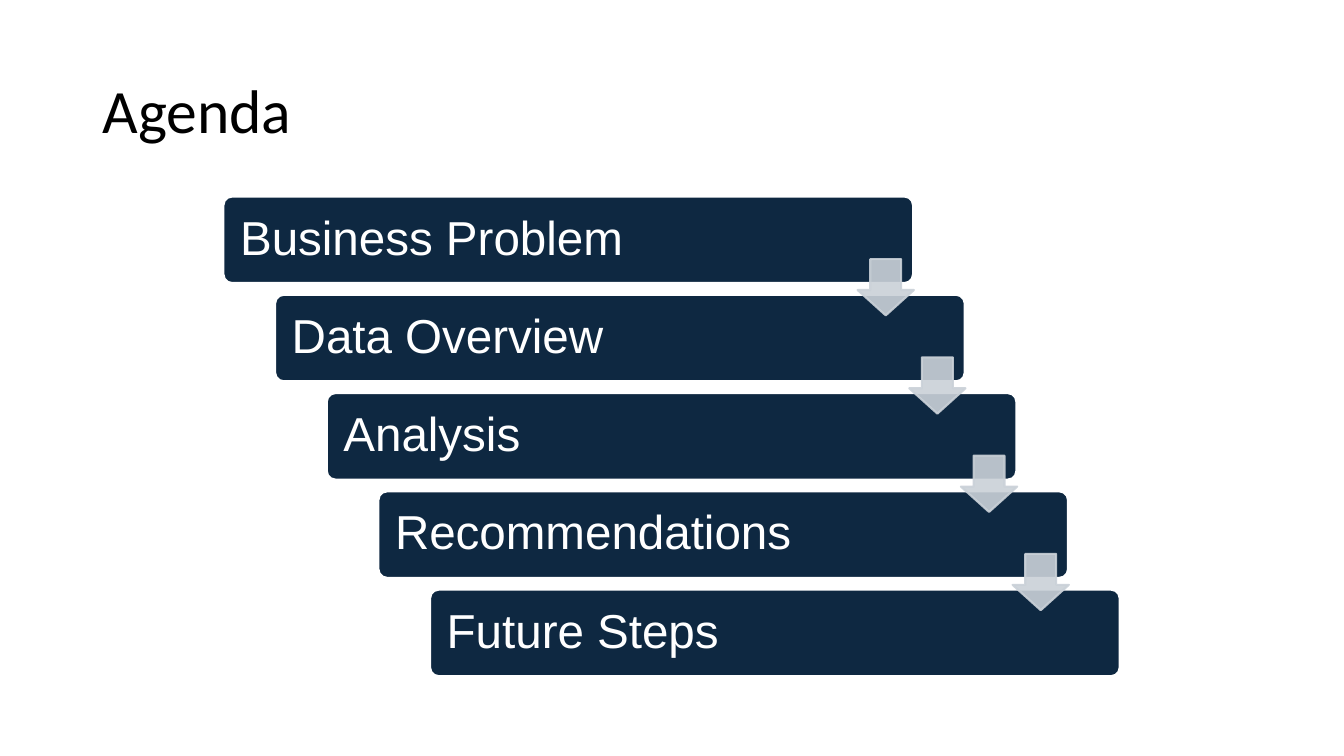
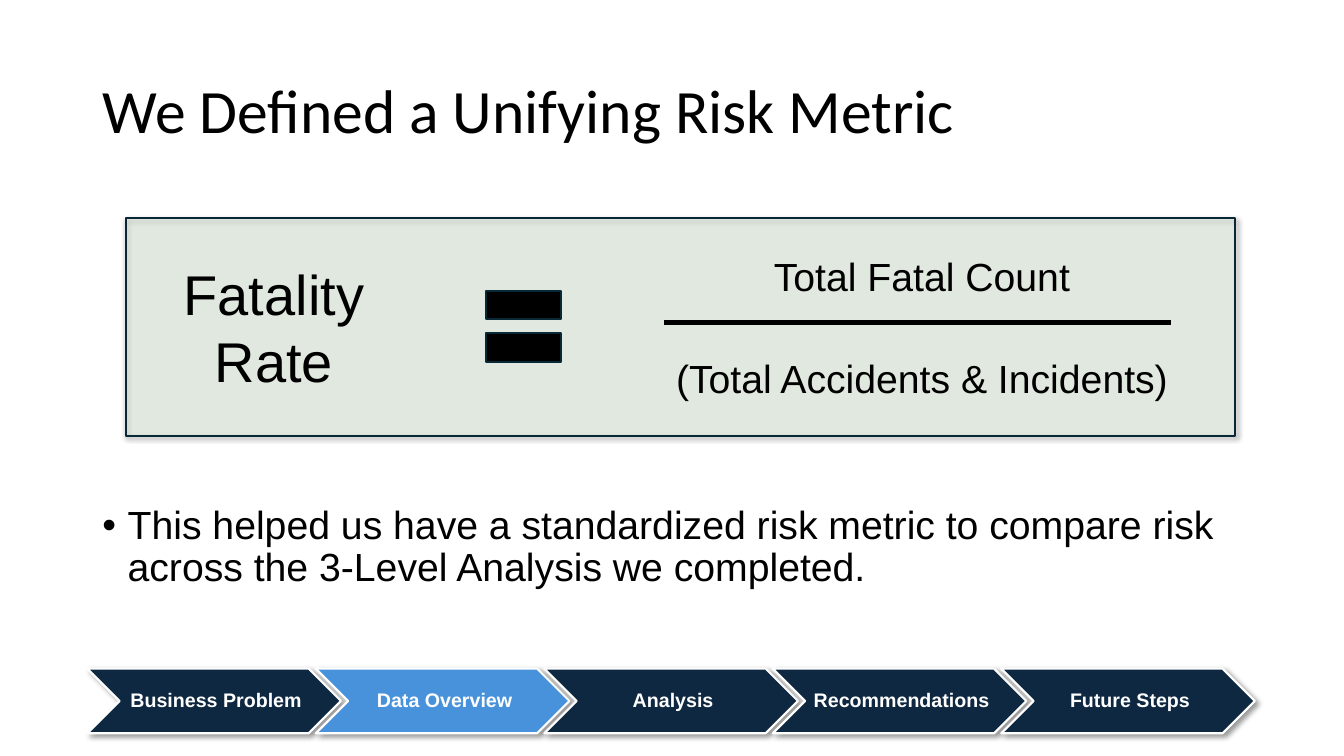
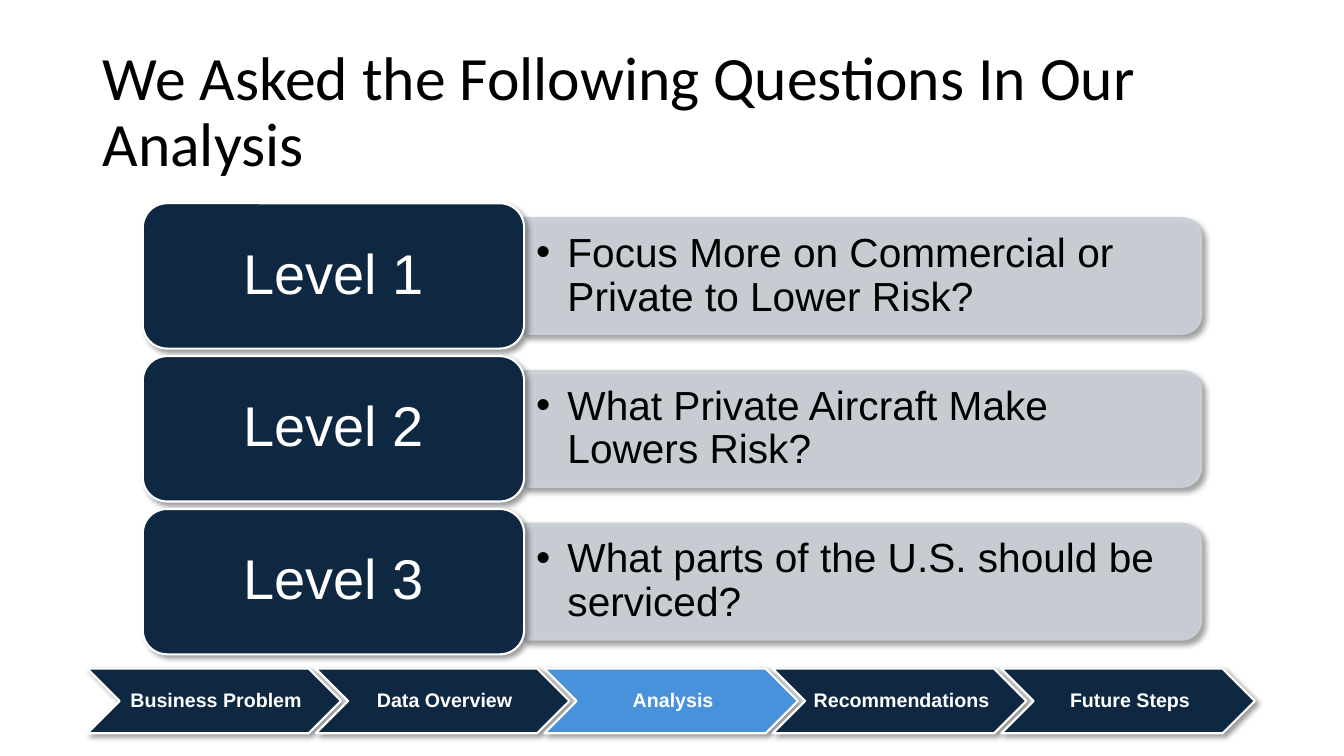
from dataclasses import dataclass

from lxml import etree
from pptx import Presentation
from pptx import util as u
from pptx.dml.color import RGBColor
from pptx.enum import shapes, text
from pptx.oxml.ns import qn


@dataclass(frozen=True)
class Theme:
    navy: str = "0E2841"
    blue: str = "4892DC"
    grey: str = "CAD1D8"
    mint: str = "D8F2CF"
    outline: str = "082836"
    black: str = "000000"
    white: str = "FFFFFF"
    heading_font: str = "Calibri"
    body_font: str = "Arial"
    title_size: int = 44
    large_size: int = 40
    agenda_size: int = 34
    question_size: int = 29
    body_size: int = 28
    step_size: int = 14
    outline_width: float = 1.5


THEME = Theme()
WIDTH, HEIGHT = u.Inches(13.333), u.Inches(7.5)
COLUMNS, ROWS = 160, 90
CELL_PT = HEIGHT.pt / ROWS
LEFT, CENTER = text.PP_ALIGN.LEFT, text.PP_ALIGN.CENTER
MIDDLE, TOP = text.MSO_ANCHOR.MIDDLE, text.MSO_ANCHOR.TOP
SHAPE = shapes.MSO_SHAPE
STEPS = ["Business Problem", "Data Overview", "Analysis", "Recommendations", "Future Steps"]


# Grid and colour helpers
def cells(x, y, w, h):
    """Turn grid columns and rows into slide lengths."""
    return [int(n * unit) for n, unit in
            zip((x, y, w, h), (WIDTH / COLUMNS, HEIGHT / ROWS) * 2)]


def rgb(colour):
    return RGBColor.from_string(colour)


def add_xml(parent, tag, **attributes):
    return etree.SubElement(parent, qn(tag), {k: str(v) for k, v in attributes.items()})


# Element helpers
def write(target, words, *, size, font=THEME.body_font, colour=THEME.black, bold=False,
          align=LEFT, anchor=MIDDLE, spacing=0.9, margins=(0.1, 0.05, 0.1, 0.05), indent=0):
    """Fill a shape with one formatted paragraph; an indent in inches adds a bullet."""
    frame = target.text_frame
    frame.word_wrap = True
    frame.auto_size = text.MSO_AUTO_SIZE.NONE
    frame.vertical_anchor = anchor
    (frame.margin_left, frame.margin_top,
     frame.margin_right, frame.margin_bottom) = map(u.Inches, margins)
    paragraph = frame.paragraphs[0]
    paragraph.text = words
    paragraph.alignment = align
    paragraph.line_spacing = spacing
    paragraph.space_before = u.Pt(0)
    if indent:
        properties = paragraph._p.get_or_add_pPr()
        properties.set("marL", str(u.Inches(indent)))
        properties.set("indent", str(-u.Inches(indent)))
        add_xml(properties, "a:buFont", typeface=THEME.body_font)
        add_xml(properties, "a:buChar", char="•")
    for run in paragraph.runs:
        run.font.name, run.font.size, run.font.bold = font, u.Pt(size), bold
        run.font.color.rgb = rgb(colour)


def add_text(slide, box, words, **style):
    write(slide.shapes.add_textbox(*cells(*box)), words, **style)


def add_block(slide, kind, box, fill, line, *, adjust=(), alpha=None, shadow=None):
    """Draw a preset shape; shadow is its distance in points."""
    block = slide.shapes.add_shape(kind, *cells(*box))
    for index, value in enumerate(adjust):
        block.adjustments[index] = value
    block.fill.solid()
    block.fill.fore_color.rgb = rgb(fill)
    block.line.color.rgb = rgb(line)
    block.line.width = u.Pt(THEME.outline_width)
    block.shadow.inherit = False
    properties = block.element.spPr
    if alpha:
        for colour in properties.iter(qn("a:srgbClr")):
            if colour.get("val") == fill:
                add_xml(colour, "a:alpha", val=alpha * 1000)
    if shadow:
        outer = add_xml(properties.find(qn("a:effectLst")), "a:outerShdw", blurRad=u.Pt(4),
                        dist=u.Pt(shadow), dir=45 * 60000, algn="tl", rotWithShape=0)
        add_xml(add_xml(outer, "a:srgbClr", val=THEME.black), "a:alpha", val=40000)
    return block


def add_rule(slide, left, right, y, width):
    x1, y1, x2, y2 = cells(left, y, right, y)
    rule = slide.shapes.add_connector(shapes.MSO_CONNECTOR.STRAIGHT, x1, y1, x2, y2)
    rule.line.color.rgb = rgb(THEME.black)
    rule.line.width = u.Pt(width)
    add_xml(rule._element.spPr, "a:effectLst")


def place(holder, box):
    holder.left, holder.top, holder.width, holder.height = cells(*box)
    return holder


def add_slide(deck, title, layout="Title Only"):
    slide = deck.slides.add_slide(deck.slide_layouts.get_by_name(layout))
    write(place(slide.shapes.title, (11, 4.8, 138, 17.4)), title,
          size=THEME.title_size, font=THEME.heading_font)
    return slide


def add_progress(slide, current):
    """Row of chevrons with the current step highlighted."""
    for index, step in enumerate(STEPS):
        chevron = add_block(slide, SHAPE.CHEVRON, (10.4 + 27.2 * index, 79.6, 30.2, 7.7),
                            THEME.blue if step == current else THEME.navy, THEME.white,
                            adjust=[0.5], shadow=3)
        write(chevron, step, size=THEME.step_size, colour=THEME.white, bold=True,
              align=CENTER, margins=(0.06, 0.02, 0.02, 0.02))


# Slides
def agenda_slide(deck):
    slide = add_slide(deck, "Agenda")
    corners = [(26.6 + 6.15 * i, 23.4 + 11.7 * i) for i in range(len(STEPS))]
    for (x, y), step in zip(corners, STEPS):
        bar = add_block(slide, SHAPE.ROUNDED_RECTANGLE, (x, y, 82.1, 10.3),
                        THEME.navy, THEME.white, adjust=[0.1])
        write(bar, step, size=THEME.agenda_size, colour=THEME.white, margins=[0.14] * 4)
    for x, y in corners[:-1]:
        add_block(slide, SHAPE.DOWN_ARROW, (x + 75.5, y + 7.45, 6.7, 6.7),
                  THEME.grey, THEME.grey, adjust=[0.55, 0.45], alpha=90)


def metric_slide(deck):
    slide = add_slide(deck, "We Defined a Unifying Risk Metric", "Title and Content")
    write(place(slide.placeholders[1], (11, 59.6, 138, 16.3)),
          "This helped us have a standardized risk metric to compare risk "
          "across the 3-Level Analysis we completed.",
          size=THEME.body_size, anchor=TOP, indent=0.25)

    # Formula panel
    add_block(slide, SHAPE.RECTANGLE, (15, 26, 132, 25.9), THEME.mint, THEME.outline,
              alpha=25, shadow=1)
    add_block(slide, SHAPE.MATH_EQUAL, (56.3, 31.7, 12.1, 14.3), THEME.black, THEME.outline,
              adjust=[0.235, 0.118])
    add_text(slide, (17.9, 28.4, 29.4, 20.9), "Fatality\vRate",
             size=THEME.large_size, align=CENTER, spacing=1)
    add_rule(slide, 79.1, 139.4, 38.4, 4)
    for y, term in [(28.7, "Total Fatal Count"), (40.8, "(Total Accidents & Incidents)")]:
        add_text(slide, (77.4, y, 64.7, 8.3), term,
                 size=THEME.body_size, align=CENTER, spacing=1)
    add_progress(slide, "Data Overview")


def questions_slide(deck):
    slide = add_slide(deck, "We Asked the Following Questions In Our Analysis")
    questions = ["Focus More on Commercial or Private to Lower Risk?",
                 "What Private Aircraft Make Lowers Risk?",
                 "What parts of the U.S. should be serviced?"]
    card_x, card_w, card_h = 17, 45.4, 17.3
    bar_x, bar_w, bar_h = card_x + card_w, 80.6, 13.8
    for index, question in enumerate(questions):
        top = 24.2 + 18.2 * index
        middle = top + card_h / 2
        # The bar is drawn upright and turned so its round corners face right
        bar = add_block(slide, SHAPE.ROUND_2_SAME_RECTANGLE,
                        (bar_x + (bar_w - bar_h) / 2, middle - bar_w / 2, bar_h, bar_w),
                        THEME.grey, THEME.grey, adjust=[0.167, 0], alpha=90, shadow=3)
        bar.rotation = 90
        add_text(slide, (bar_x, middle - 6.2, 79.9, 12.4), question,
                 size=THEME.question_size, margins=(0.12, 0.06, 0.12, 0.06), indent=0.31)
        card = add_block(slide, SHAPE.ROUNDED_RECTANGLE, (card_x, top, card_w, card_h),
                         THEME.navy, THEME.white, adjust=[0.167], shadow=3)
        write(card, f"Level {index + 1}", size=THEME.large_size, colour=THEME.white,
              align=CENTER, margins=(0.17, 0.08, 0.17, 0.08))
    add_progress(slide, "Analysis")


def main():
    deck = Presentation()
    deck.slide_width, deck.slide_height = WIDTH, HEIGHT
    agenda_slide(deck)
    metric_slide(deck)
    questions_slide(deck)
    deck.save("out.pptx")


if __name__ == "__main__":
    main()
